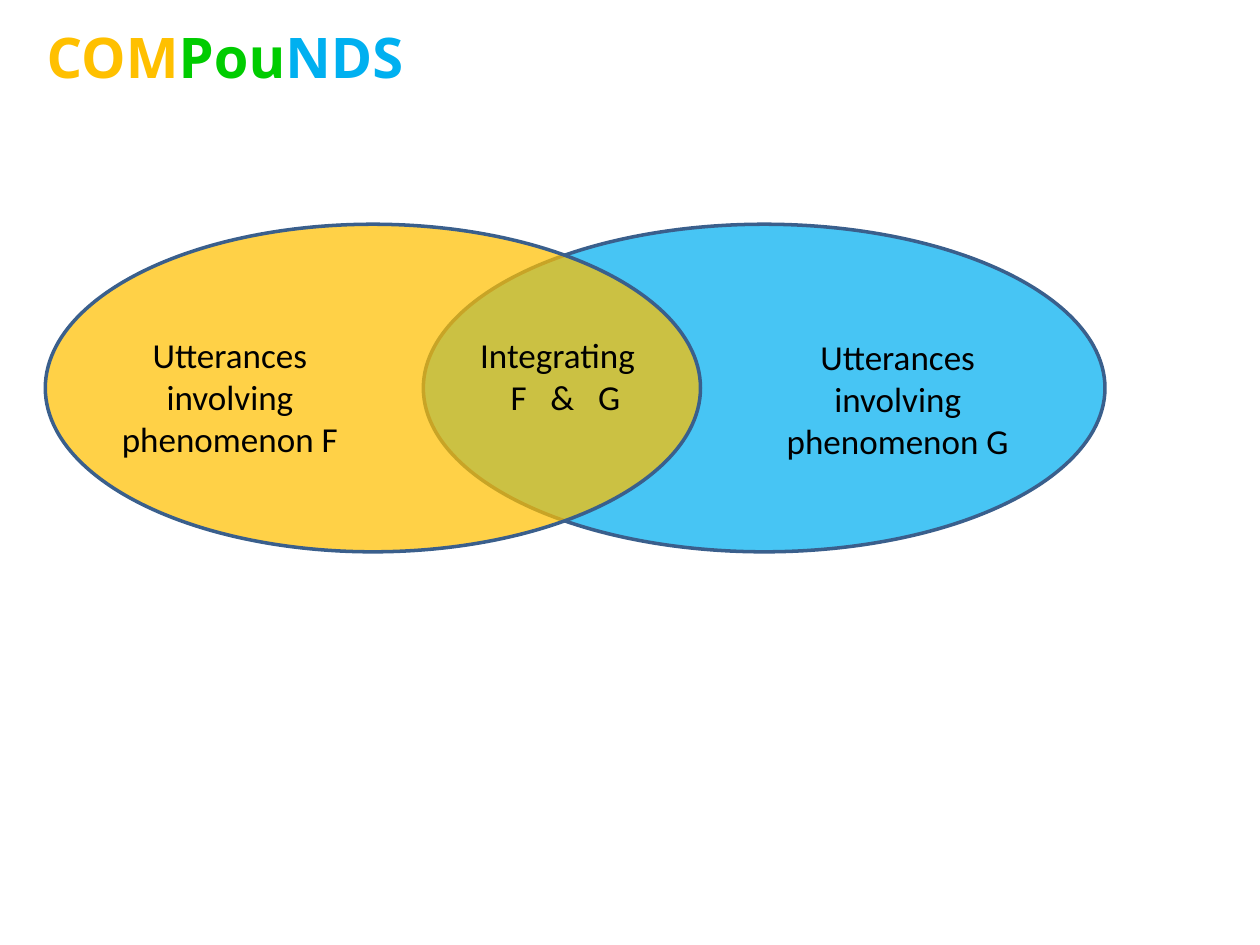
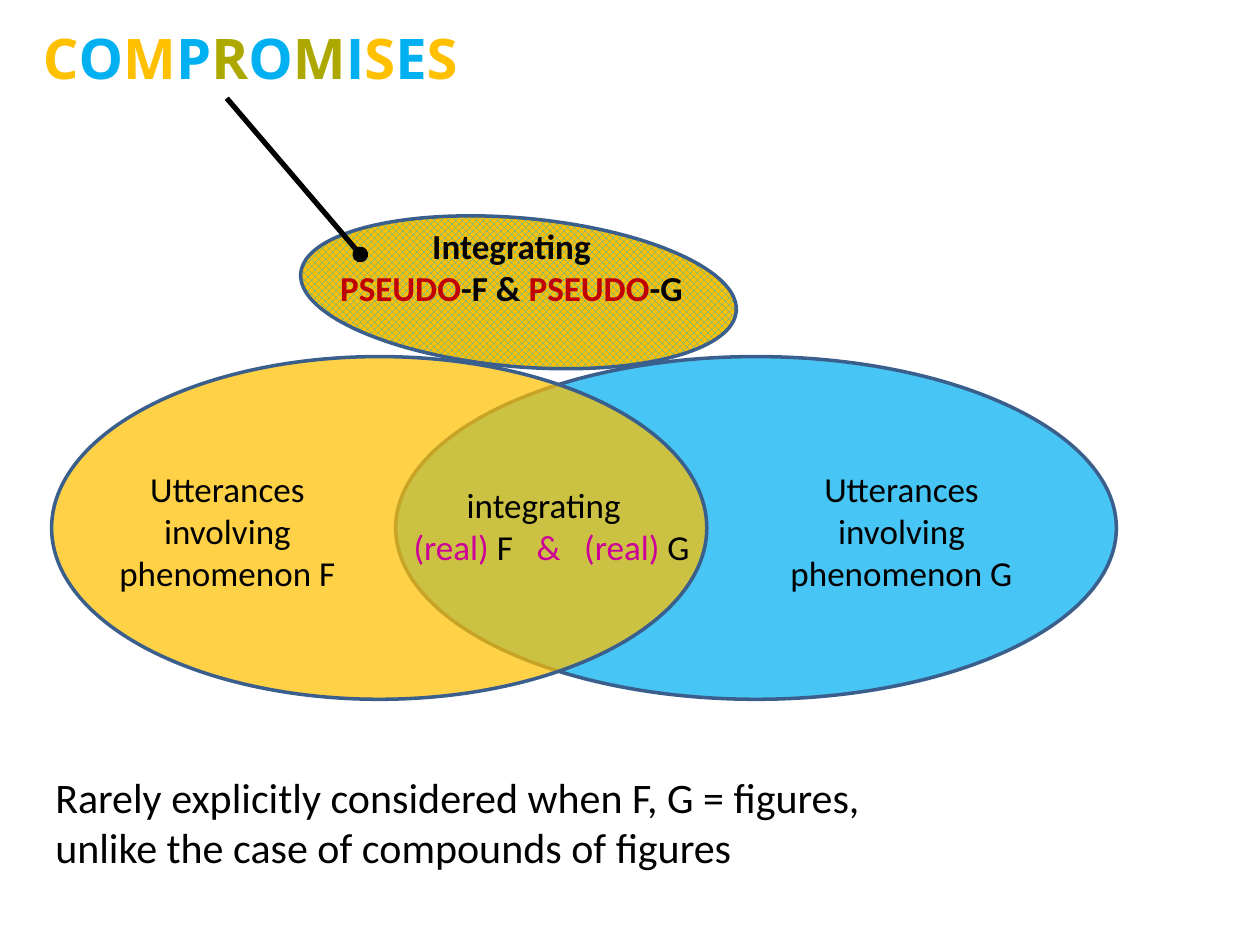
"""Build two slides that set compounds against compromises with Venn diagrams."""
from lxml import etree
from pptx import Presentation
from pptx.dml.color import RGBColor
from pptx.enum.dml import MSO_PATTERN
from pptx.enum.shapes import MSO_CONNECTOR, MSO_SHAPE
from pptx.enum.text import MSO_ANCHOR, MSO_AUTO_SIZE, PP_ALIGN
from pptx.oxml.ns import qn
from pptx.util import Inches, Pt

GOLD = RGBColor(0xFF, 0xC0, 0x00)
BLUE = RGBColor(0x00, 0xB0, 0xF0)
GREEN = RGBColor(0x00, 0xCC, 0x00)
OLIVE = RGBColor(0xAC, 0xA8, 0x00)
RED = RGBColor(0xC0, 0x00, 0x00)
PINK = RGBColor(0xCC, 0x00, 0x99)
EDGE = RGBColor(0x3A, 0x5F, 0x8C)
BLACK = RGBColor(0x00, 0x00, 0x00)

OVAL = MSO_SHAPE.OVAL
LINE = MSO_CONNECTOR.STRAIGHT
DIAMOND = MSO_PATTERN.OUTLINED_DIAMOND
LEFT, CENTER = PP_ALIGN.LEFT, PP_ALIGN.CENTER
TOP = MSO_ANCHOR.TOP
FIXED = MSO_AUTO_SIZE.NONE

TITLE_ONLY = 5
OPACITY = 72000
GAP = 9
WIDE = " "


def write(shape, lines, font="Calibri", size=20, bold=False, align=CENTER, shift=0):
    """Fill a shape with lines of (text, colour) runs; shift indents the last line."""
    frame = shape.text_frame
    frame.word_wrap = True
    frame.auto_size = FIXED
    frame.vertical_anchor = TOP
    for i, runs in enumerate(lines):
        para = frame.paragraphs[0] if i == 0 else frame.add_paragraph()
        para.alignment = align
        for words, colour in runs:
            run = para.add_run()
            run.text = words
            run.font.name = font
            run.font.size = Pt(size)
            run.font.bold = bold
            run.font.color.rgb = colour
            if words == WIDE:
                run.font._element.set("spc", str(GAP * 100))
    if shift:
        para._p.get_or_add_pPr().set("marL", str(Pt(shift)))


def add_text(slide, box, lines, **style):
    """Add a text box."""
    shape = slide.shapes.add_textbox(*map(Inches, box))
    write(shape, lines, **style)


def add_title(slide, box, runs):
    """Place the title and colour its letters."""
    title = slide.shapes.title
    title.left, title.top, title.width, title.height = map(Inches, box)
    write(title, [runs], font="Open Sans", size=32, bold=True, align=LEFT)


def add_oval(slide, box):
    """Add an outlined ellipse that has no shadow."""
    oval = slide.shapes.add_shape(OVAL, *map(Inches, box))
    oval.shadow.inherit = False
    oval.line.color.rgb = EDGE
    oval.line.width = Pt(2)
    return oval


def add_set(slide, box, colour):
    """Add a see-through ellipse."""
    oval = add_oval(slide, box)
    oval.fill.solid()
    oval.fill.fore_color.rgb = colour
    tint = oval.fill._xPr.find(qn("a:solidFill"))[0]
    etree.SubElement(tint, qn("a:alpha"), val=str(OPACITY))


def add_venn(slide, top, height, gold, blue, labels):
    """Add the two sets, each given as (left, width), and their labels."""
    for (left, width), colour in ((blue, BLUE), (gold, GOLD)):
        add_set(slide, (left, top, width, height), colour)
    for name, (left, y) in zip("FG", labels):
        words = f"Utterances involving phenomenon {name}"
        add_text(slide, (left, y, 2.13, 1.11), [[(words, BLACK)]])


def add_blend(slide, box):
    """Add the tilted ellipse with a diamond pattern."""
    oval = add_oval(slide, box)
    oval.rotation = 5
    oval.fill.patterned()
    oval.fill.pattern = DIAMOND
    oval.fill.fore_color.rgb = BLUE
    oval.fill.back_color.rgb = GOLD


def add_lead(slide, start, end):
    """Add a thick line that ends in a dot."""
    lead = slide.shapes.add_connector(LINE, *map(Inches, start + end))
    lead.line.color.rgb = BLACK
    lead.line.width = Pt(3)
    etree.SubElement(lead.line._get_or_add_ln(), qn("a:tailEnd"), type="oval")
    etree.SubElement(lead._element.spPr, qn("a:effectLst"))


def compounds(slide):
    """Draw the slide on compounds."""
    add_title(slide, (0.27, 0.13, 3.4, 0.64),
              [("COM", GOLD), ("Pou", GREEN), ("NDS", BLUE)])
    add_venn(slide, 1.78, 2.6, (0.36, 5.2), (3.36, 5.41),
             [(0.76, 2.6), (6.06, 2.61)])
    both = [(part, BLACK) for part in ("F", WIDE, "&", WIDE, "G")]
    add_text(slide, (3.36, 2.6, 2.13, 0.77),
             [[("Integrating", BLACK)], both], shift=GAP)


def compromises(slide):
    """Draw the slide on compromises."""
    hues = {"G": GOLD, "B": BLUE, "O": OLIVE}
    add_title(slide, (0.24, 0.14, 3.98, 0.64),
              [(x, hues[key]) for x, key in zip("COMPROMISES", "GBGBOBOBGBG")])
    add_venn(slide, 2.83, 2.72, (0.41, 5.2), (3.14, 5.72),
             [(0.74, 3.66), (6.09, 3.66)])
    real = [("(real) ", PINK), ("F", BLACK), (WIDE, BLACK), ("&", PINK),
            (WIDE, PINK), ("(real) ", PINK), ("G", BLACK)]
    add_text(slide, (3.03, 3.79, 2.57, 0.77),
             [[("integrating", BLACK)], real], shift=GAP)
    add_blend(slide, (2.38, 1.73, 3.47, 1.18))
    pseudo = [("PSEUDO", RED), ("-F & ", BLACK), ("PSEUDO", RED), ("-G", BLACK)]
    add_text(slide, (2.13, 1.73, 3.86, 0.77),
             [[("Integrating", BLACK)], pseudo], bold=True)
    add_lead(slide, (1.8, 0.78), (2.86, 2.02))
    add_text(slide, (0.34, 6.07, 8.28, 0.91),
             [[("Rarely explicitly considered when F, G = figures,", BLACK)],
              [("unlike the case of compounds of figures", BLACK)]],
             size=24, align=LEFT)


def main():
    """Build and save the slides."""
    deck = Presentation()
    deck.slide_width, deck.slide_height = Inches(10), Inches(7.5)
    for draw in (compounds, compromises):
        draw(deck.slides.add_slide(deck.slide_layouts[TITLE_ONLY]))
    deck.save("out.pptx")


if __name__ == "__main__":
    main()
